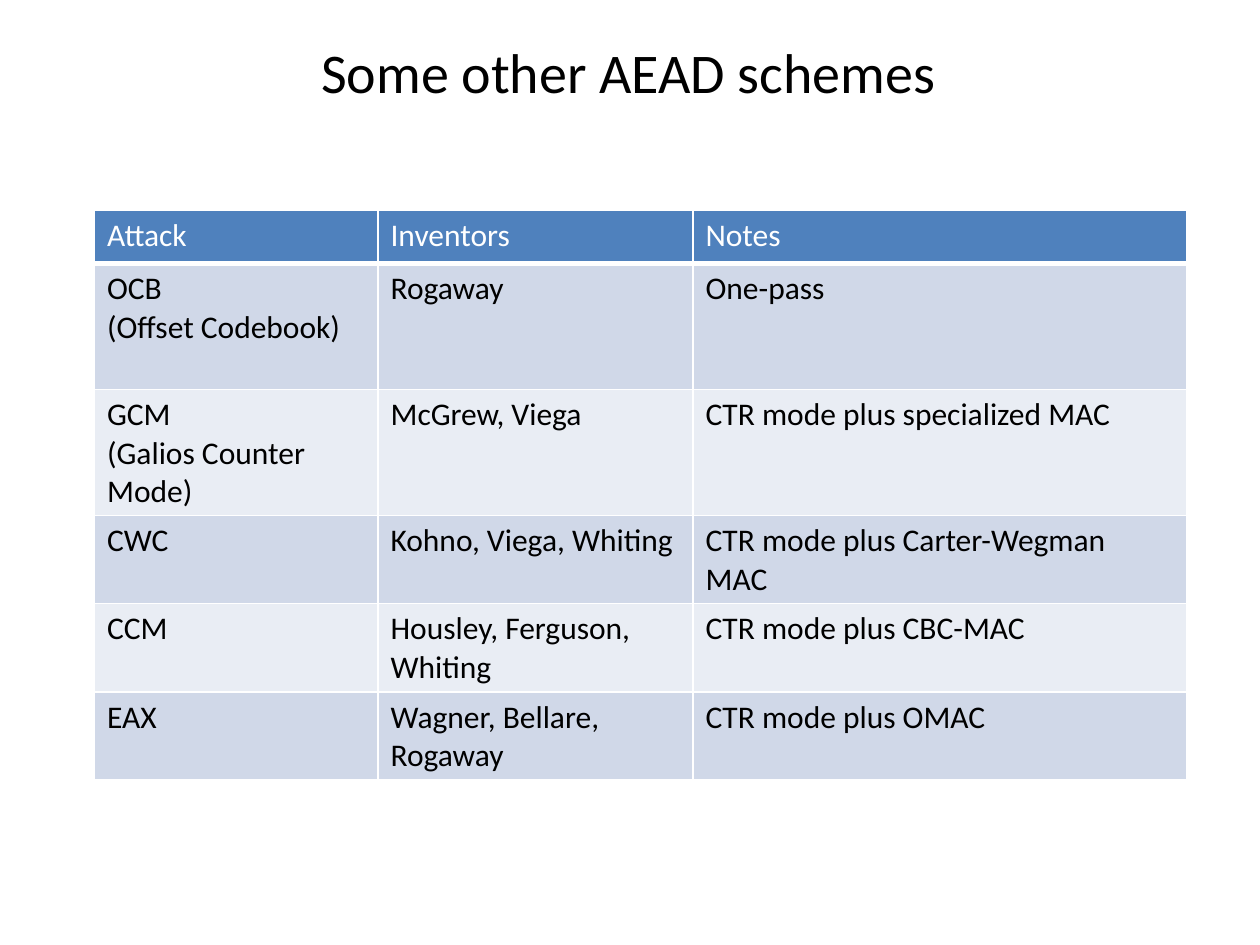
from dataclasses import dataclass

from lxml.etree import SubElement
from pptx import Presentation
from pptx.dml.color import RGBColor
from pptx.enum.text import MSO_AUTO_SIZE
from pptx.oxml.ns import qn
from pptx.util import Pt

FONT = "Calibri"
BLACK = RGBColor(0x00, 0x00, 0x00)
WHITE = RGBColor(0xFF, 0xFF, 0xFF)
HEADER_BLUE = RGBColor(0x4F, 0x81, 0xBD)
BAND_DARK = RGBColor(0xD0, 0xD8, 0xE8)
BAND_LIGHT = RGBColor(0xE9, 0xED, 0xF4)


@dataclass(frozen=True)
class SchemeRow:
    scheme: tuple[str, ...]
    inventors: str
    notes: str
    height: float = 50.4


HEADER = SchemeRow(("Attack",), "Inventors", "Notes", 30.24)
SCHEMES = (
    SchemeRow(("OCB", "(Offset Codebook)"), "Rogaway", "One-pass", 72),
    SchemeRow(("GCM ", "(Galios Counter Mode)"), "McGrew, Viega",
              "CTR mode plus specialized MAC", 72),
    SchemeRow(("CWC",), "Kohno, Viega, Whiting", "CTR mode plus Carter-Wegman MAC"),
    SchemeRow(("CCM",), "Housley, Ferguson, Whiting", "CTR mode plus CBC-MAC"),
    SchemeRow(("EAX ",), "Wagner, Bellare, Rogaway", "CTR mode plus OMAC "),
)
COLUMN_WIDTHS = (162, 180, 282.24)


def write_lines(frame, lines: tuple[str, ...], size: float, color: RGBColor) -> None:
    for index, line in enumerate(lines):
        paragraph = frame.add_paragraph() if index else frame.paragraphs[0]
        run = paragraph.add_run()
        run.text = line
        run.font.name = FONT
        run.font.size = Pt(size)
        run.font.bold = False
        run.font.color.rgb = color


def draw_borders(cell, bottom: float) -> None:
    properties = cell._tc.get_or_add_tcPr()
    for side, width in (("L", 1), ("R", 1), ("T", 1), ("B", bottom)):
        border = SubElement(properties, qn(f"a:ln{side}"), w=str(Pt(width)))
        fill = SubElement(border, qn("a:solidFill"))
        SubElement(fill, qn("a:srgbClr"), val=str(WHITE))


def fill_row(table, index: int, row: SchemeRow) -> None:
    is_header = index == 0
    band = HEADER_BLUE if is_header else BAND_DARK if index % 2 else BAND_LIGHT
    table.rows[index].height = Pt(row.height)
    contents = (row.scheme, (row.inventors,), (row.notes,))
    for cell, lines in zip(table.rows[index].cells, contents):
        draw_borders(cell, 3 if is_header else 1)
        cell.fill.solid()
        cell.fill.fore_color.rgb = band
        write_lines(cell.text_frame, lines, 18, WHITE if is_header else BLACK)


presentation = Presentation()
presentation.slide_width, presentation.slide_height = Pt(720), Pt(540)
slide = presentation.slides.add_slide(presentation.slide_layouts[6])

# Title
title = slide.shapes.add_textbox(Pt(176.4), Pt(18), Pt(369.36), Pt(46.08)).text_frame
title.word_wrap = False
title.auto_size = MSO_AUTO_SIZE.SHAPE_TO_FIT_TEXT
write_lines(title, ("Some other AEAD schemes",), 32, BLACK)

# Table of schemes
rows = (HEADER, *SCHEMES)
schemes_table = slide.shapes.add_table(
    len(rows), len(COLUMN_WIDTHS), Pt(54), Pt(120.24),
    Pt(sum(COLUMN_WIDTHS)), Pt(sum(row.height for row in rows)),
).table
for column, width in zip(schemes_table.columns, COLUMN_WIDTHS):
    column.width = Pt(width)
for row_index, scheme_row in enumerate(rows):
    fill_row(schemes_table, row_index, scheme_row)

presentation.save("out.pptx")
